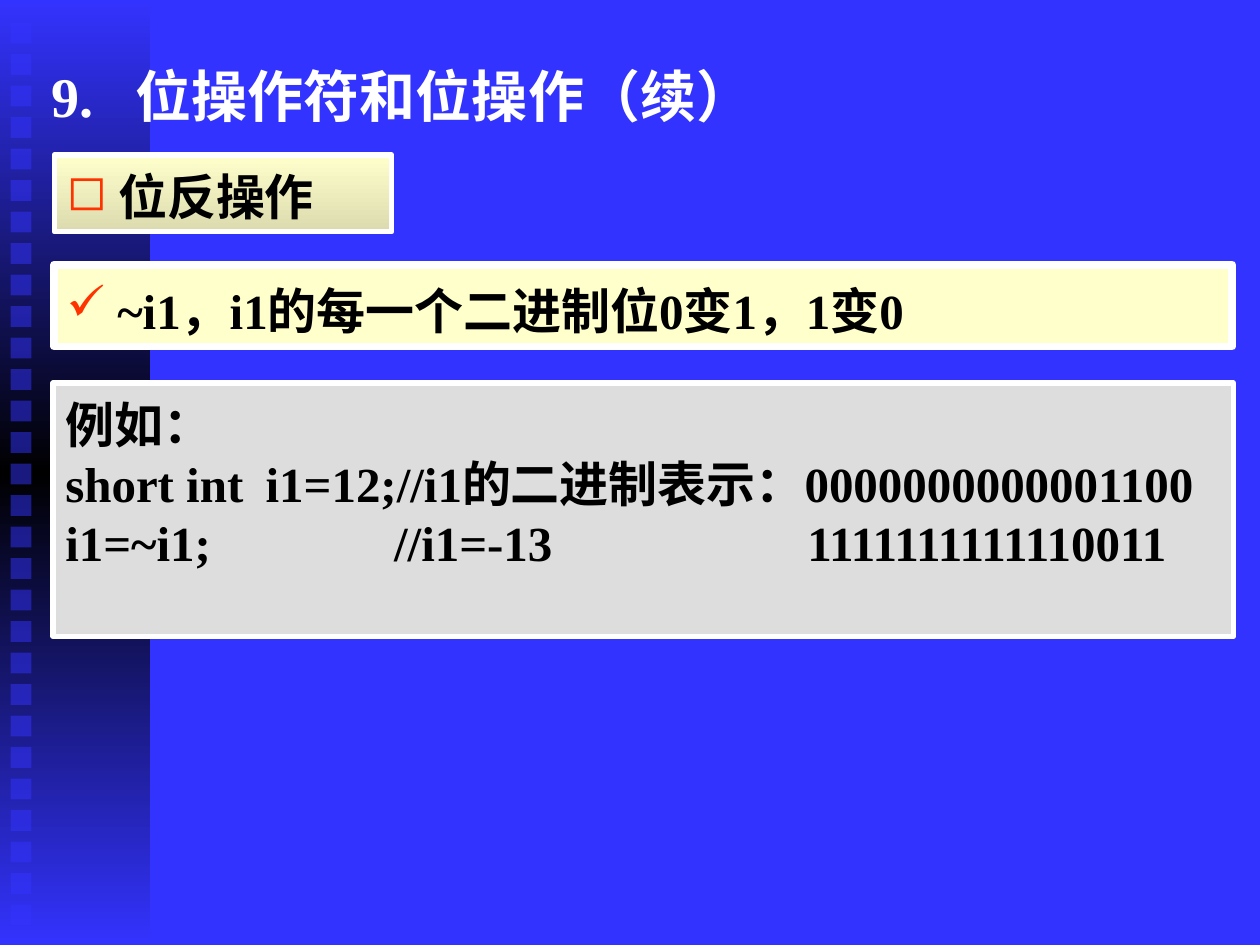
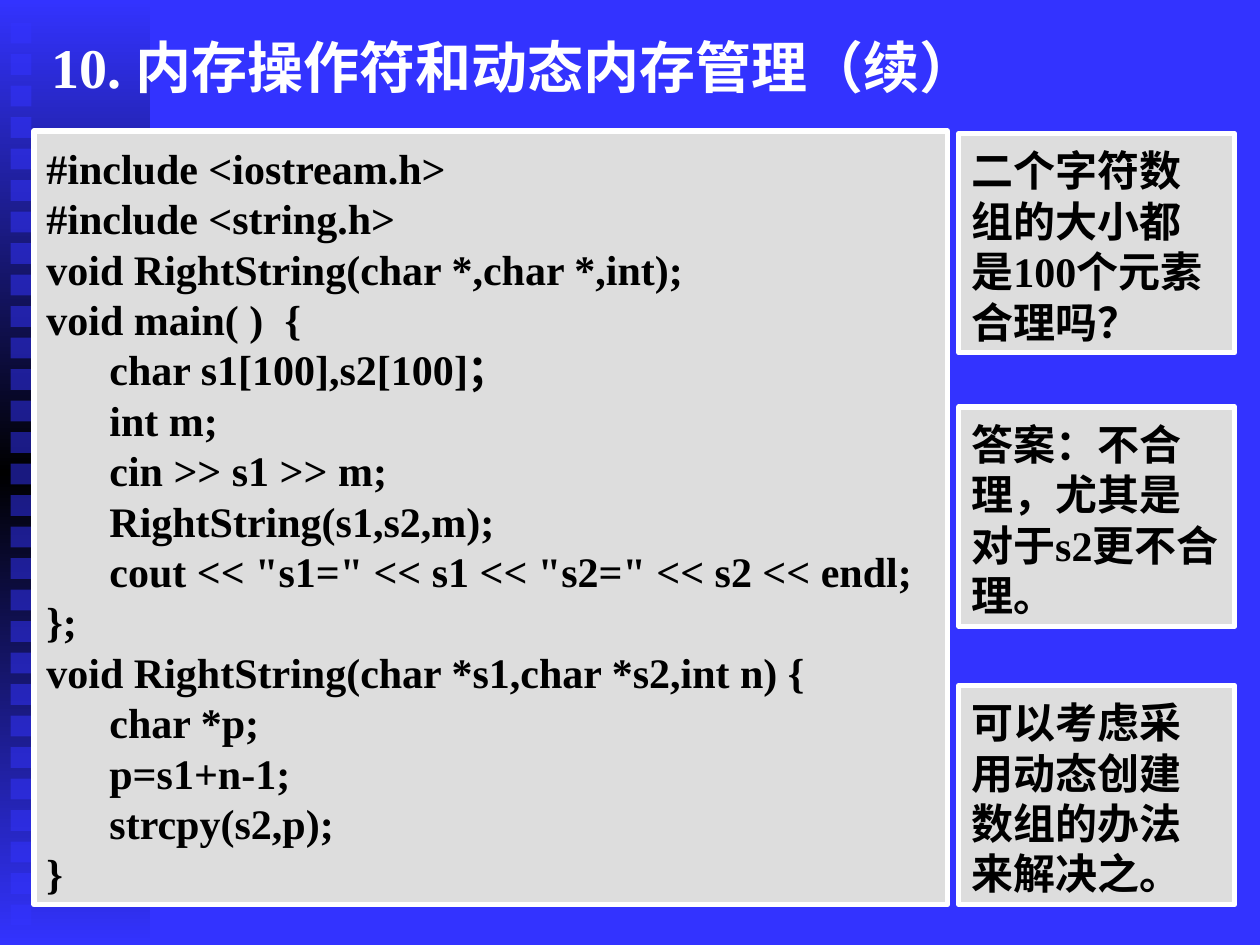
from lxml import etree
from pptx import Presentation
from pptx import util as u
from pptx.dml.color import RGBColor
from pptx.enum import lang, shapes, text
from pptx.oxml import parse_xml
from pptx.oxml.ns import nsdecls, qn

COLS, ROWS = 100, 75
FONT = "Times New Roman"
HUES = {
    "blue": "3333FF",
    "black": "000000",
    "white": "FFFFFF",
    "cream": "FFFFCC",
    "sand": "DBDBAF",
    "gray": "DDDDDD",
    "red": "FF3300",
}


class Deck:
    """Holds the style and the current slide; lengths are grid columns and rows."""

    def __init__(self):
        self.prs = Presentation()
        self.prs.slide_width = u.Inches(10)
        self.prs.slide_height = u.Inches(7.5)
        self.col = self.prs.slide_width / COLS
        self.row = self.prs.slide_height / ROWS

    def rgb(self, hue):
        return RGBColor.from_string(HUES[hue])

    def place(self, left, top, wide, high):
        return (round(left * self.col), round(top * self.row),
                round(wide * self.col), round(high * self.row))

    def page(self, head, top, stops=()):
        """Start a slide with its background, side band and title."""
        self.slide = self.prs.slides.add_slide(self.prs.slide_layouts[6])
        fill = self.slide.background.fill
        fill.solid()
        fill.fore_color.rgb = self.rgb("blue")
        self.band()
        box = self.slide.shapes.add_textbox(*self.place(3.1, top, 94.2, 5.8))
        self.frame(box, 0.05)
        self.line(box, head, 32, "white", stops=stops)

    def band(self):
        self.rect((0, 0, 11.9, ROWS), ["blue", "black", "blue"])
        for i in range(29):
            dot = self.rect((0.85, 1.8 + 2.5 * i, 1.65, 1.65), "blue")
            tint = dot.fill._xPr.find(qn("a:solidFill"))[0]
            etree.SubElement(tint, qn("a:alpha"), val="50000")

    def rect(self, area, fill, edge=0):
        """Draw a rectangle; a list of hues gives a vertical gradient."""
        box = self.slide.shapes.add_shape(
            shapes.MSO_SHAPE.RECTANGLE, *self.place(*area))
        box.shadow.inherit = False
        if isinstance(fill, list):
            self.blend(box, fill)
        else:
            box.fill.solid()
            box.fill.fore_color.rgb = self.rgb(fill)
        if edge:
            box.line.color.rgb = self.rgb("white")
            box.line.width = u.Pt(edge)
        else:
            box.line.fill.background()
        return box

    def blend(self, box, hues):
        step = 100000 // (len(hues) - 1)
        stops = "".join(
            f'<a:gs pos="{i * step}"><a:srgbClr val="{HUES[hue]}"/></a:gs>'
            for i, hue in enumerate(hues))
        grad = parse_xml(
            f'<a:gradFill {nsdecls("a")} rotWithShape="1"><a:gsLst>{stops}'
            '</a:gsLst><a:lin ang="5400000" scaled="1"/></a:gradFill>')
        box._element.spPr.find(qn("a:prstGeom")).addnext(grad)

    def frame(self, box, top):
        body = box.text_frame
        body.word_wrap = True
        body.vertical_anchor = text.MSO_ANCHOR.TOP
        body.margin_left = body.margin_right = u.Inches(0.1)
        body.margin_top, body.margin_bottom = u.Inches(top), u.Inches(0.05)

    def line(self, box, words, size, hue="black", mark="", stops=(), inset=0):
        """Add a paragraph; mark is its bullet, stops and inset are inches."""
        body = box.text_frame
        para = body.paragraphs[0] if not body.text else body.add_paragraph()
        para.alignment = text.PP_ALIGN.LEFT
        props = para._p.get_or_add_pPr()
        if inset:
            props.set("marL", str(u.Inches(inset)))
        if mark:
            tint = etree.SubElement(props, qn("a:buClr"))
            etree.SubElement(tint, qn("a:srgbClr"), val=HUES["red"])
            etree.SubElement(props, qn("a:buChar"), char=mark)
        if stops:
            tabs = etree.SubElement(props, qn("a:tabLst"))
            for stop in stops:
                etree.SubElement(tabs, qn("a:tab"),
                                 pos=str(u.Inches(stop)), algn="l")
        run = para.add_run()
        run.text = words
        font = run.font
        font.name, font.size, font.bold = FONT, u.Pt(size), True
        font.color.rgb = self.rgb(hue)
        font.language_id = lang.MSO_LANGUAGE_ID.SIMPLIFIED_CHINESE

    def panel(self, area, lines, size, fill="gray", edge=3, top=0.09, mark=""):
        """Draw a framed box; each line is (words, tab stops, inset)."""
        box = self.rect(area, fill, edge)
        self.frame(box, top)
        for words, stops, inset in lines:
            self.line(box, words, size, mark=mark, stops=stops, inset=inset)


def plain(*lines, inset=0):
    return [(words, (), inset) for words in lines]


def bits(deck):
    deck.page("9.\t位操作符和位操作（续）", 4.4, stops=(0.67,))
    deck.panel((4.3, 12.3, 26.8, 6.1), plain(" 位反操作"), 28,
               fill=["cream", "sand"], mark="◻")
    deck.panel((4.3, 21, 93.5, 6.5),
               plain(" ~i1，i1的每一个二进制位0变1，1变0"), 28,
               fill="cream", edge=4.5, top=0.13, mark="✓")
    deck.panel((4.2, 30.4, 93.7, 20.1), [
        ("例如：", (), 0),
        ("short int\ti1=12;//i1的二进制表示：0000000000001100", (1.59,), 0),
        ("i1=~i1;\t//i1=-13\t1111111111110011", (2.61, 5.89), 0),
    ], 28)


def memory(deck):
    deck.page("10. 内存操作符和动态内存管理（续）", 2.1)
    code = [
        *plain("#include <iostream.h>", "#include <string.h>",
               "void RightString(char *,char *,int);"),
        ("void main( )\t{", (1.89,), 0),
        *plain("char s1[100],s2[100]；", "int m;", "cin >> s1 >> m;",
               "RightString(s1,s2,m);",
               'cout << "s1=" << s1 << "s2=" << s2 << endl;', inset=0.5),
        *plain("};", "void RightString(char *s1,char *s2,int n) {"),
        *plain("char *p;", "p=s1+n-1;", "strcpy(s2,p);", inset=0.5),
        *plain("}"),
    ]
    deck.panel((2.7, 10.4, 72.5, 61.4), code, 24)
    notes = {
        10.6: "二个字符数组的大小都是100个元素合理吗？",
        32.3: "答案：不合理，尤其是对于s2更不合理。",
        54.4: "可以考虑采用动态创建数组的办法来解决之。",
    }
    for top, words in notes.items():
        deck.panel((76.1, top, 21.9, 17.4), plain(words), 24)


def main():
    deck = Deck()
    bits(deck)
    memory(deck)
    deck.prs.save("out.pptx")


if __name__ == "__main__":
    main()
